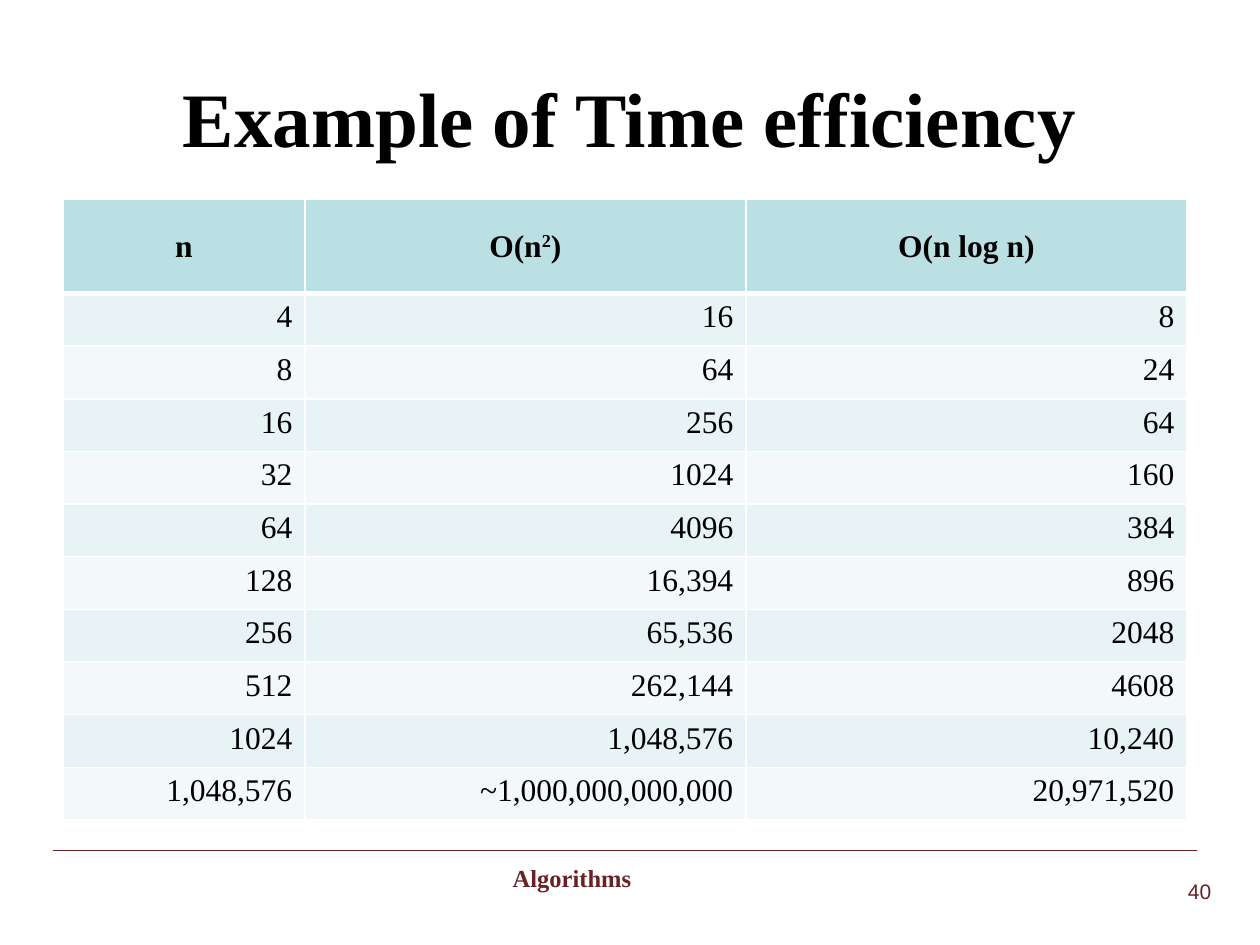
from lxml import etree
from pptx import Presentation
from pptx.dml.color import RGBColor
from pptx.enum.shapes import MSO_CONNECTOR
from pptx.enum.text import MSO_ANCHOR, PP_ALIGN
from pptx.oxml import parse_xml
from pptx.oxml.ns import nsdecls, qn
from pptx.util import Inches, Pt

STRAIGHT = MSO_CONNECTOR.STRAIGHT
TOP, MIDDLE = MSO_ANCHOR.TOP, MSO_ANCHOR.MIDDLE
LEFT, CENTER, RIGHT = PP_ALIGN.LEFT, PP_ALIGN.CENTER, PP_ALIGN.RIGHT
TITLE_ONLY = 5
SERIF, SANS = "Times New Roman", "Arial"
COLORS = {
    "text": "000000",
    "accent": "682224",
    "header": "BBE0E3",
    "odd": "E7F3F4",
    "even": "F3F9FA",
    "border": "FFFFFF",
}

HEADERS = [[("n", 0)], [("O(n", 0), ("2", 30), (")", 0)], [("O(n log n)", 0)]]
GROWTH = [
    ("4", "16", "8"),
    ("8", "64", "24"),
    ("16", "256", "64"),
    ("32", "1024", "160"),
    ("64", "4096", "384"),
    ("128", "16,394", "896"),
    ("256", "65,536", "2048"),
    ("512", "262,144", "4608"),
    ("1024", "1,048,576", "10,240"),
    ("1,048,576", "~1,000,000,000,000", "20,971,520"),
]


class SlideBuilder:
    columns, rows = 100, 75

    def __init__(self, deck):
        self.deck = deck
        self.page = deck.slides.add_slide(deck.slide_layouts[TITLE_ONLY])

    def x(self, columns):
        return int(self.deck.slide_width * columns / self.columns)

    def y(self, rows):
        return int(self.deck.slide_height * rows / self.rows)

    def area(self, left, top, width, height):
        return self.x(left), self.y(top), self.x(width), self.y(height)

    def set_text(self, frame, spans, size, color="text", font=SERIF, bold=False, align=LEFT):
        para = frame.paragraphs[0]
        para.alignment = align
        para.font.name = font
        para.font.size = Pt(size)
        para.font.bold = bold
        para.font.color.rgb = RGBColor.from_string(COLORS[color])
        for text, raised in spans:
            span = para.add_run()
            span.text = text
            if raised:
                span.font._element.set("baseline", str(raised * 1000))
        return para

    def title(self, text, area):
        box = self.page.shapes.title
        box.left, box.top, box.width, box.height = self.area(*area)
        box.text_frame.vertical_anchor = MIDDLE
        self.set_text(box.text_frame, [(text, 0)], 44, bold=True, align=CENTER)

    def label(self, text, area, size, wrap=True, **style):
        box = self.page.shapes.add_textbox(*self.area(*area))
        box.text_frame.word_wrap = wrap
        return self.set_text(box.text_frame, [(text, 0)], size, "accent", **style)

    def rule(self, left, right, row):
        line = self.page.shapes.add_connector(
            STRAIGHT, self.x(left), self.y(row), self.x(right), self.y(row))
        line.line.color.rgb = RGBColor.from_string(COLORS["accent"])
        line.line.width = Pt(0.75)
        etree.SubElement(line._element.spPr, qn("a:effectLst"))

    def borders(self, cell, bottom, top):
        properties = cell._tc.get_or_add_tcPr()
        for side, width in (("L", 1), ("R", 1), ("T", top), ("B", bottom)):
            properties.append(parse_xml(
                f'<a:ln{side} {nsdecls("a")} w="{Pt(width)}"><a:solidFill>'
                f'<a:srgbClr val="{COLORS["border"]}"/></a:solidFill></a:ln{side}>'))

    def cell(self, cell, spans, fill, header, top):
        self.borders(cell, 3 if header else 1, top)
        cell.fill.solid()
        cell.fill.fore_color.rgb = RGBColor.from_string(COLORS[fill])
        cell.vertical_anchor = MIDDLE if header else TOP
        self.set_text(cell.text_frame, spans, 18, bold=header,
                      align=CENTER if header else RIGHT)

    def table(self, headers, records, area, widths, header_height):
        count = len(records)
        table = self.page.shapes.add_table(count + 1, len(headers), *self.area(*area)).table
        table.first_row = table.horz_banding = False
        for column, width in zip(table.columns, widths):
            column.width = self.x(width)
        for row in table.rows:
            row.height = self.y((area[3] - header_height) / count)
        table.rows[0].height = self.y(header_height)
        content = [headers] + [[[(value, 0)] for value in record] for record in records]
        for r, record in enumerate(content):
            fill = "header" if r == 0 else "odd" if r % 2 else "even"
            for c, spans in enumerate(record):
                self.cell(table.cell(r, c), spans, fill, r == 0, 3 if r == 1 else 1)


def main():
    deck = Presentation()
    deck.slide_width, deck.slide_height = Inches(10), Inches(7.5)
    slide = SlideBuilder(deck)
    slide.rule(4.2, 95, 67.5)
    slide.label("40", (93.3, 69.2, 4, 3), 12, wrap=False, font=SANS)
    slide.title("Example of Time efficiency", (5, 3, 90, 12.5))
    slide.table(HEADERS, GROWTH, (5, 15.8, 89.2, 49.3), (19.2, 35, 35), 7.5)
    footer = slide.label("Algorithms", (17.5, 68.3, 55.8, 5.2), 14, bold=True, align=CENTER)
    footer.line_spacing = 0.9
    deck.save("out.pptx")


if __name__ == "__main__":
    main()
